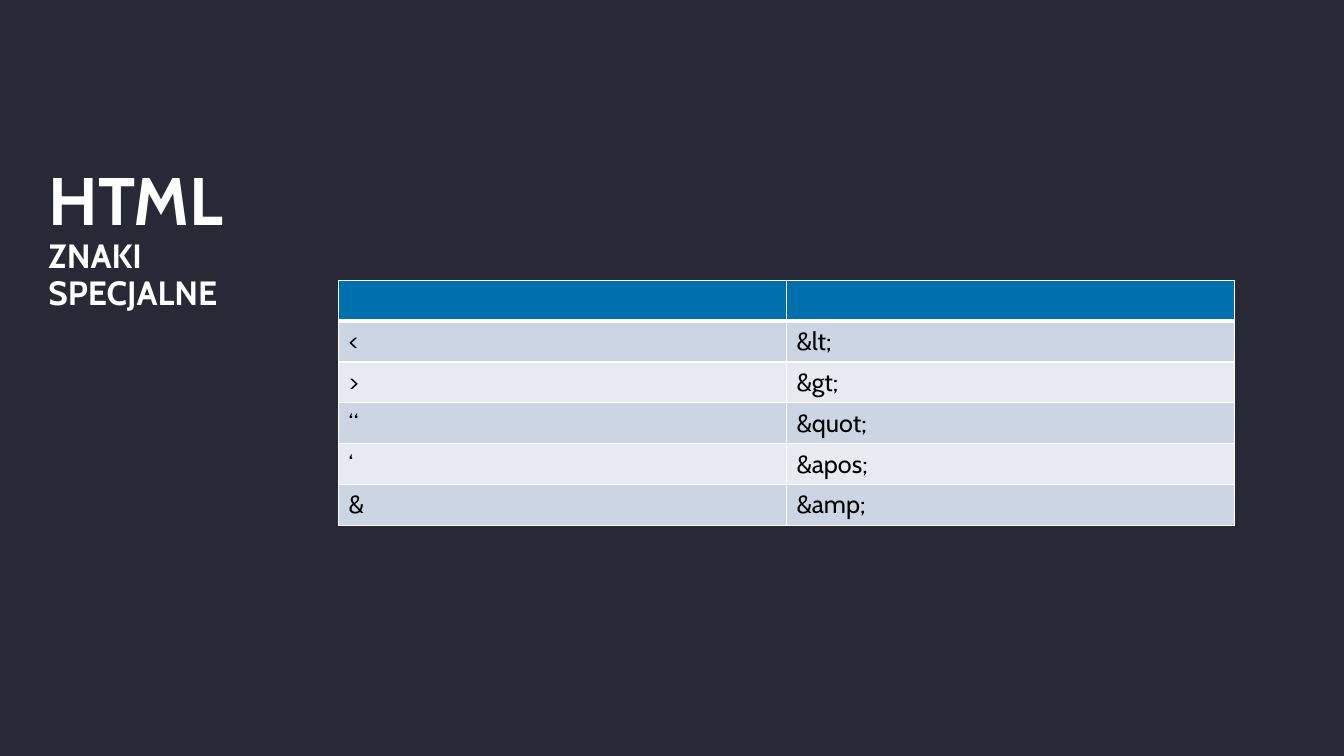
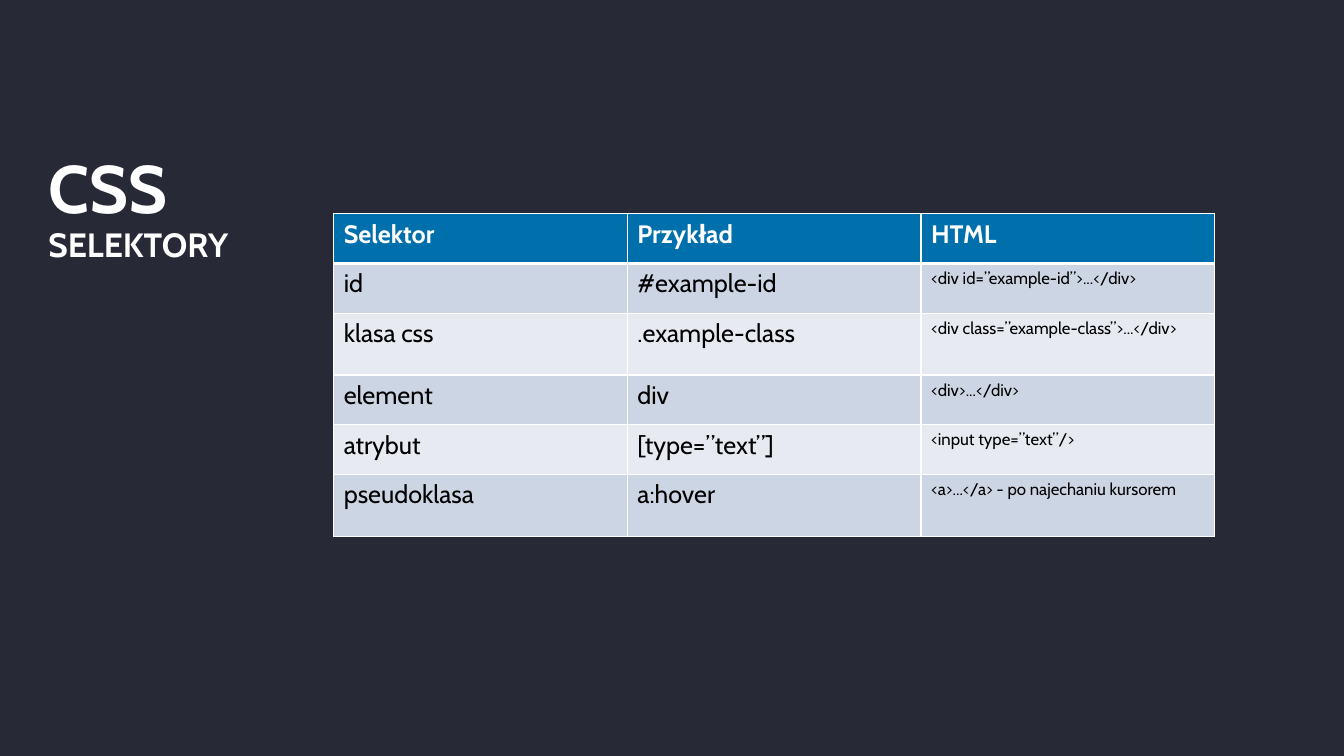
from copy import deepcopy

from lxml import etree
from pptx import Presentation
from pptx import util as u
from pptx.dml.color import RGBColor
from pptx.enum import text
from pptx.oxml.ns import qn

COLOURS = {
    "background": "272936",
    "title": "FFFFFF",
    "border": "FFFFFF",
    "header": "0070AD",
    "header text": "FFFFFF",
    "odd row": "CCD5E3",
    "even row": "E7EBF1",
    "body text": "000000",
}
FONT = "Cabin"
TITLE_LEFT, TITLE_WIDTH = 1.12, 31.62

# Lengths are in centimetres; text sizes are in points, one per column.
SLIDES = [
    {
        "title": ["HTML", "ZNAKI ", "SPECJALNE"],
        "title top": 4.19,
        "title height": 3.68,
        "table at": (8.53, 7.06),
        "column width": 11.29,
        "row heights": [1.03] * 6,
        "text sizes": [18, 18],
        "rows": [
            ["", ""],
            ["<", "&lt;"],
            [">", "&gt;"],
            ["“", "&quot;"],
            ["‘", "&apos;"],
            ["&", "&amp;"],
        ],
    },
    {
        "title": ["CSS", "SELEKTORY"],
        "title top": 3.89,
        "title height": 2.77,
        "table at": (8.41, 5.39),
        "column width": 7.4,
        "row heights": [1.25, 1.25, 1.56, 1.25, 1.25, 1.56],
        "text sizes": [18, 18, 12],
        "rows": [
            ["Selektor", "Przykład", "HTML"],
            ["id", "#example-id", "<div id=”example-id”>...</div>"],
            ["klasa css", ".example-class", "<div class=”example-class”>...</div>"],
            ["element", "div", "<div>...</div>"],
            ["atrybut", "[type=”text”]", "<input type=”text”/>"],
            ["pseudoklasa", "a:hover", "<a>...</a> - po najechaniu kursorem"],
        ],
    },
]


def format_run(run, size, colour, bold):
    run.font.name = FONT
    run.font.size = u.Pt(size)
    run.font.bold = bold
    run.font.color.rgb = RGBColor.from_string(COLOURS[colour])


def set_borders(cell, top, bottom):
    """Draw all four cell borders; top and bottom are widths in points."""
    properties = cell._tc.get_or_add_tcPr()
    widths = {"a:lnL": 1, "a:lnR": 1, "a:lnT": top, "a:lnB": bottom}
    for position, (tag, width) in enumerate(widths.items()):
        line = etree.Element(qn(tag), w=str(u.Pt(width)))
        fill = etree.SubElement(line, qn("a:solidFill"))
        etree.SubElement(fill, qn("a:srgbClr"), val=COLOURS["border"])
        properties.insert(position, line)


presentation = Presentation()
presentation.slide_width = u.Cm(33.87)
presentation.slide_height = u.Cm(19.05)
title_only = presentation.slide_layouts[5]

background = presentation.slide_master.background.fill
background.solid()
background.fore_color.rgb = RGBColor.from_string(COLOURS["background"])

for content in SLIDES:
    slide = presentation.slides.add_slide(title_only)

    title = slide.shapes.title
    title.left, title.top = u.Cm(TITLE_LEFT), u.Cm(content["title top"])
    title.width, title.height = u.Cm(TITLE_WIDTH), u.Cm(content["title height"])
    frame = title.text_frame
    frame.margin_left = frame.margin_right = u.Cm(0.1)
    frame.margin_top = frame.margin_bottom = 0
    frame.vertical_anchor = text.MSO_ANCHOR.BOTTOM
    frame.auto_size = text.MSO_AUTO_SIZE.NONE
    frame.word_wrap = True
    paragraph = frame.paragraphs[0]
    paragraph.text = "\v".join(content["title"])
    paragraph.alignment = text.PP_ALIGN.LEFT
    paragraph.line_spacing = 0.9
    for index, run in enumerate(paragraph.runs):
        format_run(run, 24 if index else 48, "title", True)
    # A line break takes the format of the run before it.
    for line_break in paragraph._p.findall(qn("a:br")):
        line_break.append(deepcopy(line_break.getprevious().find(qn("a:rPr"))))

    rows, sizes = content["rows"], content["text sizes"]
    heights = content["row heights"]
    left, top = content["table at"]
    table = slide.shapes.add_table(
        len(rows), len(sizes), u.Cm(left), u.Cm(top),
        u.Cm(content["column width"] * len(sizes)), u.Cm(sum(heights)),
    ).table
    table.horz_banding = False
    for row, height in zip(table.rows, heights):
        row.height = u.Cm(height)
    for column in table.columns:
        column.width = u.Cm(content["column width"])

    for row_index, values in enumerate(rows):
        is_header = row_index == 0
        band = "header" if is_header else "odd row" if row_index % 2 else "even row"
        for column_index, value in enumerate(values):
            cell = table.cell(row_index, column_index)
            cell.fill.solid()
            cell.fill.fore_color.rgb = RGBColor.from_string(COLOURS[band])
            set_borders(cell, 3 if row_index == 1 else 1, 3 if is_header else 1)
            if not value:
                continue
            cell.text_frame.text = value
            run = cell.text_frame.paragraphs[0].runs[0]
            if is_header:
                format_run(run, 18, "header text", True)
            else:
                format_run(run, sizes[column_index], "body text", False)

presentation.save("out.pptx")
